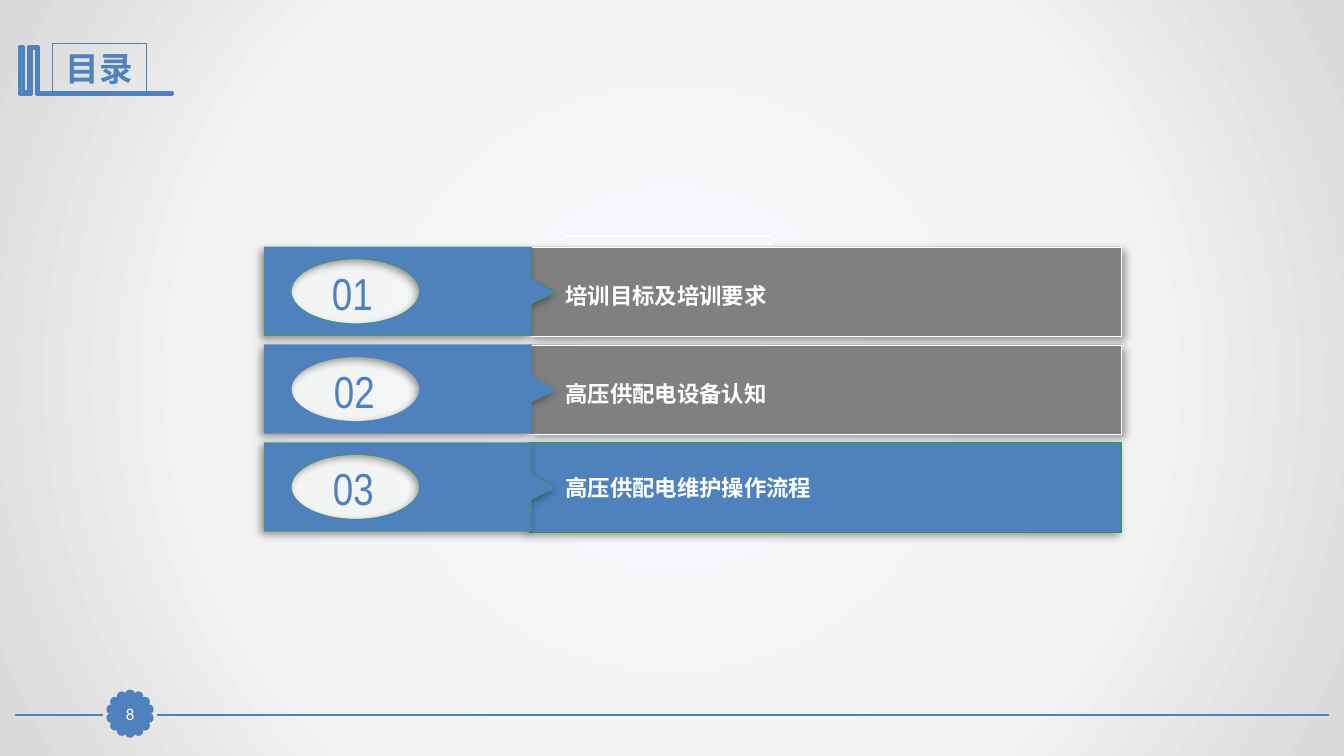
import math

import pptx
import pptx.dml.color
import pptx.enum.shapes
import pptx.enum.text
import pptx.oxml
import pptx.oxml.ns
import pptx.util
from pptx.util import Inches

TITLE = "目录"
PAGE_NUMBER = "8"
COLORS = {"blue": "4F81BD", "cyan": "28A9D6", "gray": "808080",
          "green": "339933", "white": "FFFFFF", "black": "000000"}
BACKGROUND = [(0, "F6F9FC"), (63, "F2F2F2"), (100, "D9D9D9")]
ROWS = [
    {"number": "01", "number_left": 3.03, "number_width": 0.93, "label": "培训目标及培训要求",
     "label_drop": 0.3, "bar": ("gray", "white", 45), "tag_line": "green"},
    {"number": "02", "number_left": 3.01, "number_width": 1.01, "label": "高压供配电设备认知",
     "label_drop": 0.3, "bar": ("gray", "white", 45), "tag_line": "blue"},
    {"number": "03", "number_left": 3, "number_width": 1.01, "label": "高压供配电维护操作流程",
     "label_drop": 0.26, "bar": ("blue", "green", 135), "tag_line": "green"},
]
FOOTER_RULES = [
    ((13.18, 7.09), (1.56, 7.09), "blue", 1.25),
    ((1.02, 7.09), (0.15, 7.09), "blue", 1.25),
]
WHITE_RULES = [
    ((5.6, 2.34), (7.65, 2.34), "white", 1.5),
    ((5.61, 2.42), (7.66, 2.42), "white", 1.5),
]
BOOKMARK = [(0.37, 0.46), (0.38, 0.46), (0.38, 0.92), (1.71, 0.92), (1.71, 0.94), (0.37, 0.94),
            (0.36, 0.94), (0.36, 0.48), (0.31, 0.48), (0.31, 0.94), (0.19, 0.94),
            (0.19, 0.46), (0.23, 0.46), (0.23, 0.91), (0.28, 0.91), (0.28, 0.46)]
TAG = [(2.62, 0), (5.27, 0), (5.27, 0.31), (5.51, 0.45), (5.27, 0.57), (5.27, 0.88), (2.62, 0.88)]
HOLE = [(3.53, 0.12), (2.89, 0.44), (3.53, 0.76), (4.16, 0.44), (3.53, 0.12)]
CURVE = 0.55
ROW_TOP, ROW_PITCH, ROW_HEIGHT = 2.45, 0.97, 0.89
BADGE_CENTER, BADGE_RADIUS, PETALS, PETAL_SIZE = (1.29, 7.08), 0.19, 14, 0.07
SHAPE = pptx.enum.shapes.MSO_SHAPE
NAMESPACE = pptx.oxml.ns.nsdecls("a")


def rgb(name):
    return pptx.dml.color.RGBColor.from_string(COLORS[name])


def style(shape, fill, line, width, shadow_angle=None):
    shape.shadow.inherit = False
    if fill:
        shape.fill.solid()
        shape.fill.fore_color.rgb = rgb(fill)
    else:
        shape.fill.background()
    shape.line.color.rgb = rgb(line)
    shape.line.width = pptx.util.Pt(width)
    if shadow_angle is not None:
        effects = shape.element.spPr.find(pptx.oxml.ns.qn("a:effectLst"))
        effects.append(pptx.oxml.parse_xml(
            f'<a:outerShdw {NAMESPACE} blurRad="{pptx.util.Pt(6)}" dist="{pptx.util.Pt(3)}" '
            f'dir="{shadow_angle * 60000}" algn="ctr" rotWithShape="0">'
            f'<a:srgbClr val="{COLORS["black"]}"><a:alpha val="40000"/></a:srgbClr></a:outerShdw>'))


def add_box(parent, kind, left, top, width, height, *look):
    box = parent.shapes.add_shape(kind, Inches(left), Inches(top), Inches(width), Inches(height))
    style(box, *look)
    return box


def add_text_box(parent, left, top, width, height):
    return parent.shapes.add_textbox(Inches(left), Inches(top), Inches(width), Inches(height))


def write(box, text, size, font, color, bold=False, centered=True, grow=True):
    frame = box.text_frame
    frame.word_wrap = True
    if grow:
        frame.auto_size = pptx.enum.text.MSO_AUTO_SIZE.SHAPE_TO_FIT_TEXT
    anchors = pptx.enum.text.MSO_ANCHOR
    frame.vertical_anchor = anchors.MIDDLE if centered else anchors.TOP
    para = frame.paragraphs[0]
    align = pptx.enum.text.PP_ALIGN
    para.alignment = align.CENTER if centered else align.LEFT
    span = para.add_run()
    span.text = text
    span.font.size = pptx.util.Pt(size)
    span.font.name = font
    span.font.bold = bold
    span.font.color.rgb = rgb(color)


def add_outline(parent, contours, *look):
    contours = [[(Inches(x), Inches(y)) for x, y in contour] for contour in contours]
    builder = parent.shapes.build_freeform(*contours[0][0])
    builder.add_line_segments(contours[0][1:], close=True)
    for contour in contours[1:]:
        builder.move_to(*contour[0])
        builder.add_line_segments(contour[1:], close=True)
    outline = builder.convert_to_shape()
    style(outline, *look)
    return outline


def round_hole(outline, hole, top):
    left_edge, top_edge = outline.left, outline.top
    lines = list(outline.element.iter(pptx.oxml.ns.qn("a:lnTo")))[:len(hole) - 1]
    for index, line in enumerate(lines):
        start, end = hole[index], hole[index + 1]
        corner = (end[0], start[1]) if index % 2 else (start[0], end[1])
        corner = (start[0] + end[0] - corner[0], start[1] + end[1] - corner[1])
        handles = [tuple(a + (b - a) * CURVE for a, b in zip(point, corner)) for point in (start, end)]
        points = "".join(f'<a:pt x="{Inches(x) - left_edge}" y="{Inches(top + y) - top_edge}"/>'
                         for x, y in handles + [end])
        line.getparent().replace(line, pptx.oxml.parse_xml(
            f"<a:cubicBezTo {NAMESPACE}>{points}</a:cubicBezTo>"))


def add_rule(parent, start, end, color, width):
    rule = parent.shapes.add_connector(pptx.enum.shapes.MSO_CONNECTOR.STRAIGHT,
                                       *map(Inches, start + end))
    rule.line.color.rgb = rgb(color)
    rule.line.width = pptx.util.Pt(width)
    rule.element.spPr.append(pptx.oxml.parse_xml(f"<a:effectLst {NAMESPACE}/>"))


def paint_background(page):
    page.background.fill.gradient()
    gradient = next(page.element.iter(pptx.oxml.ns.qn("a:gradFill")))
    stops = "".join(f'<a:gs pos="{place * 1000}"><a:srgbClr val="{color}"/></a:gs>'
                    for place, color in BACKGROUND)
    gradient.getparent().replace(gradient, pptx.oxml.parse_xml(
        f'<a:gradFill {NAMESPACE} rotWithShape="1"><a:gsLst>{stops}</a:gsLst><a:path path="circle">'
        '<a:fillToRect l="50000" t="50000" r="50000" b="50000"/></a:path></a:gradFill>'))


def add_badge(page):
    group = page.shapes.add_group_shape()
    for index in range(PETALS):
        angle = 2 * math.pi * index / PETALS
        left = BADGE_CENTER[0] + BADGE_RADIUS * math.sin(angle) - PETAL_SIZE / 2
        top = BADGE_CENTER[1] - BADGE_RADIUS * math.cos(angle) - PETAL_SIZE / 2
        add_box(group, SHAPE.OVAL, left, top, PETAL_SIZE, PETAL_SIZE, "blue", "blue", 2)


def add_page_number(page):
    center = add_box(page, SHAPE.RECTANGLE, 1.13, 6.93, 0.32, 0.31, "blue", "blue", 0.75)
    frame = center.text_frame
    frame.margin_left = frame.margin_right = frame.margin_top = frame.margin_bottom = 0
    write(center, PAGE_NUMBER, 12, "Calibri", "white", grow=False)


def add_row(page, index, row):
    group = page.shapes.add_group_shape()
    top = ROW_TOP + index * ROW_PITCH
    fill, line, angle = row["bar"]
    add_box(group, SHAPE.RECTANGLE, 5.25, top, 5.87, ROW_HEIGHT, fill, line, 0.25, angle)
    contours = [[(x, top + y) for x, y in contour] for contour in (HOLE, TAG)]
    tag = add_outline(group, contours, "blue", row["tag_line"], 0.25, 135)
    round_hole(tag, HOLE, top)
    number = add_text_box(group, row["number_left"], top + 0.13, row["number_width"], 0.64)
    write(number, row["number"], 32, "Arial Narrow", "blue")
    label = add_text_box(group, 5.51, top + row["label_drop"], 5.61, 0.37)
    write(label, row["label"], 16, "Calibri", "white", bold=True, centered=False)


def main():
    deck = pptx.Presentation()
    deck.slide_width, deck.slide_height = Inches(13.33), Inches(7.5)
    page = deck.slides.add_slide(deck.slide_layouts[6])
    paint_background(page)
    for rule in FOOTER_RULES:
        add_rule(page, *rule)
    add_badge(page)
    add_outline(page, [BOOKMARK], "cyan", "blue", 2)
    title = add_box(page, SHAPE.RECTANGLE, 0.52, 0.43, 0.93, 0.5, None, "blue", 0.75)
    write(title, TITLE, 24, "Arial Narrow", "blue", bold=True)
    add_page_number(page)
    for rule in WHITE_RULES:
        add_rule(page, *rule)
    for index, row in enumerate(ROWS):
        add_row(page, index, row)
    deck.save("out.pptx")


if __name__ == "__main__":
    main()
